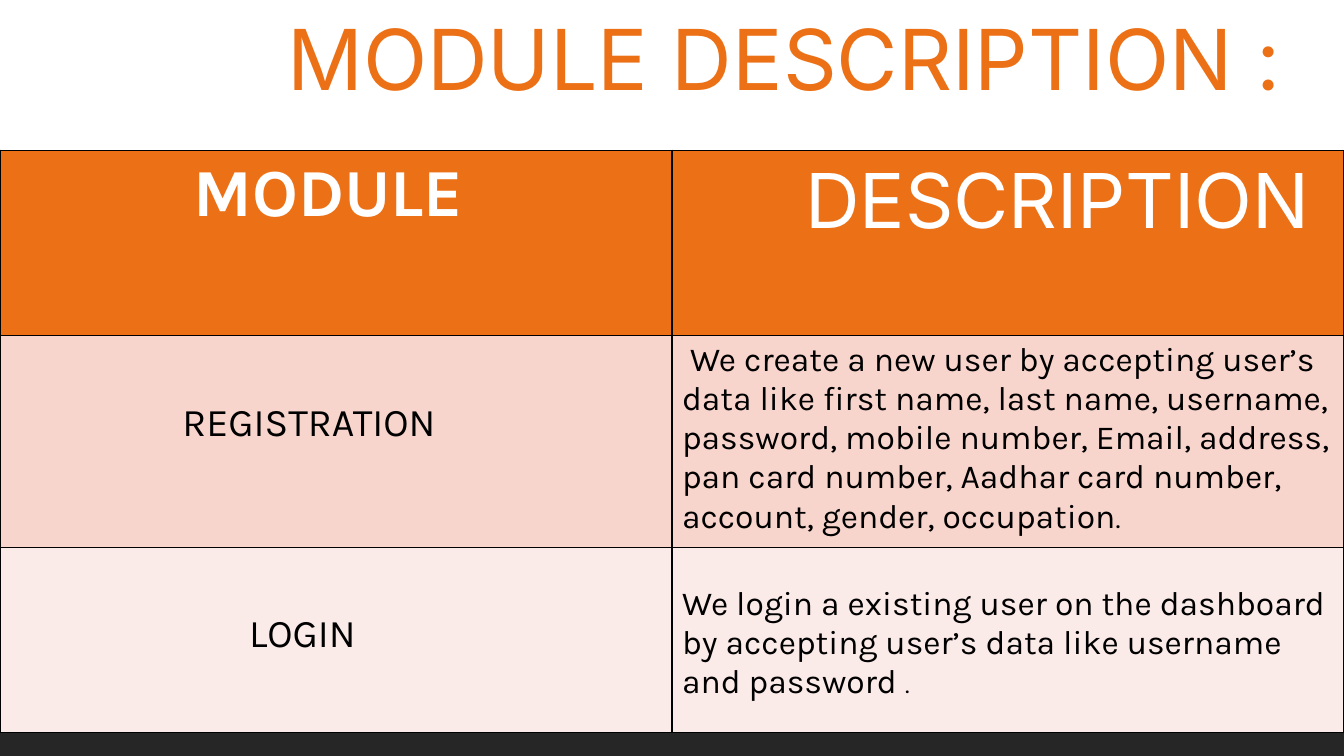
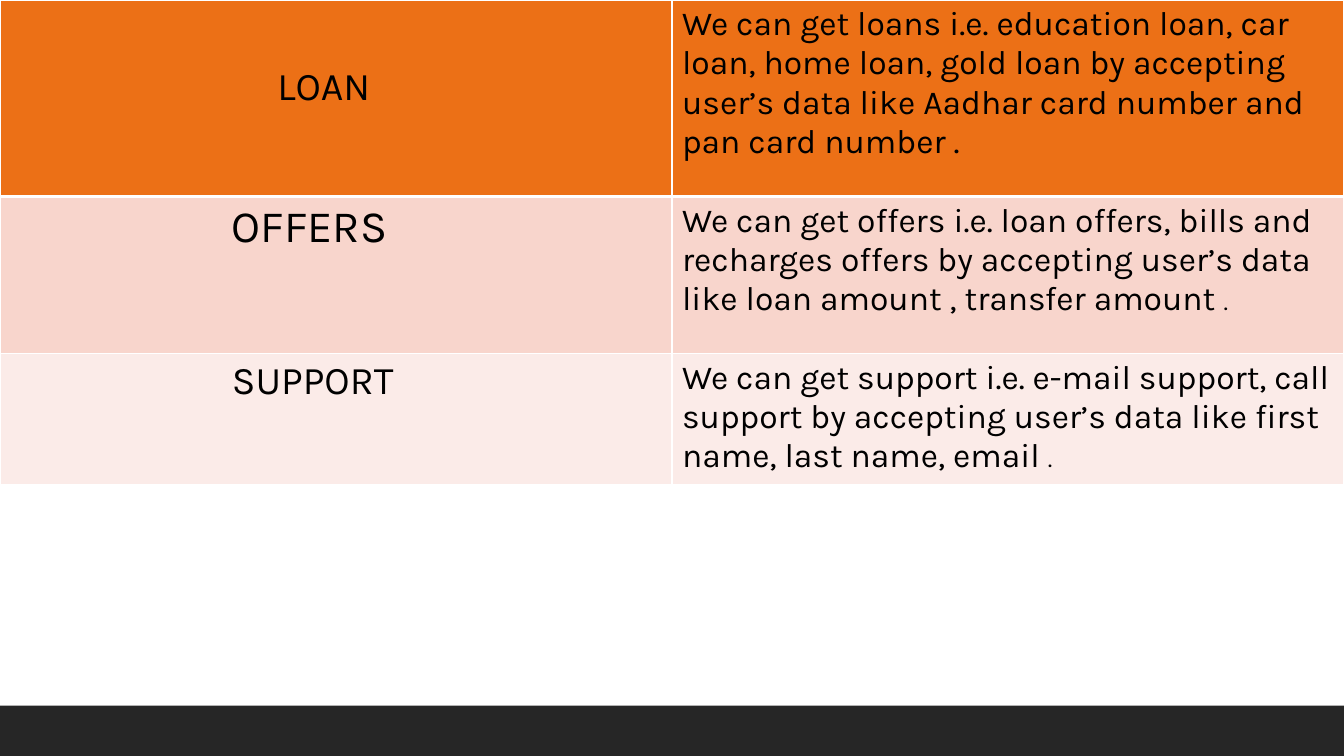
from dataclasses import dataclass
from typing import Any

from lxml.etree import SubElement
from pptx import Presentation
from pptx.dml.color import RGBColor
from pptx.enum.shapes import MSO_SHAPE
from pptx.oxml.ns import qn
from pptx.util import Inches, Pt

WIDE, HIGH = 13.33, 7.5
PAD = 0.1
HEX = {
    "orange": "EC7016",
    "rose": "F8D5CC",
    "blush": "FBEBE8",
    "dark": "262626",
    "black": "000000",
    "white": "FFFFFF",
}
FILLS = ("orange", "rose", "blush")


@dataclass
class Text:
    words: str
    size: int = 24
    left: float = PAD
    top: float = 0.05
    face: str = "Karla"
    ink: str = "black"
    bold: bool = False
    dot: int = 0  # size of a closing full stop, if it differs


@dataclass
class Grid:
    top: float
    rows: list[float]
    cells: list[tuple[Text, Text]]
    line: str
    rule: float  # width of the line below the first row


def tint(name: str) -> RGBColor:
    return RGBColor.from_string(HEX[name])


def assign(item: Any, values: dict[str, Any]) -> None:
    for name, value in values.items():
        setattr(item, name, value)


def write(frame: Any, text: Text) -> None:
    parts = [(text.words, text.size)]
    if text.dot:
        parts.append((".", text.dot))
    for words, size in parts:
        run = frame.paragraphs[0].add_run()
        run.text = words
        assign(run.font, {"name": text.face, "size": Pt(size), "bold": text.bold})
        run.font.color.rgb = tint(text.ink)


def edge(cell: Any, side: str, ink: str, width: float) -> None:
    line = SubElement(cell._tc.get_or_add_tcPr(), qn(f"a:ln{side}"), w=str(Pt(width)))
    fill = SubElement(line, qn("a:solidFill"))
    SubElement(fill, qn("a:srgbClr"), val=HEX[ink])


def band(slide: Any) -> None:
    bar = slide.shapes.add_shape(
        MSO_SHAPE.RECTANGLE, 0, Inches(7), Inches(WIDE), Inches(0.5)
    )
    bar.shadow.inherit = False
    bar.fill.solid()
    bar.fill.fore_color.rgb = tint("dark")
    bar.line.fill.background()


def title(slide: Any, text: Text) -> None:
    box = slide.shapes.add_textbox(
        Inches(text.left), Inches(text.top), Inches(WIDE - text.left), Inches(1.1)
    )
    box.text_frame.word_wrap = True
    write(box.text_frame, text)


def table(slide: Any, grid: Grid) -> None:
    frame = slide.shapes.add_table(
        len(grid.rows), 2, 0, Inches(grid.top), Inches(WIDE), Inches(sum(grid.rows))
    )
    body = frame.table
    assign(body, {"first_row": False, "horz_banding": False})
    for col in body.columns:
        col.width = Inches(WIDE / 2)
    for i, (high, pair) in enumerate(zip(grid.rows, grid.cells)):
        body.rows[i].height = Inches(high)
        widths = {
            "L": 1,
            "R": 1,
            "T": grid.rule if i == 1 else 1,
            "B": grid.rule if i == 0 else 1,
        }
        for j, text in enumerate(pair):
            cell = body.cell(i, j)
            assign(cell, {
                "margin_left": Inches(text.left),
                "margin_right": Inches(PAD),
                "margin_top": Inches(text.top),
                "margin_bottom": Inches(0.05),
            })
            for side, width in widths.items():
                edge(cell, side, grid.line, width)
            cell.fill.solid()
            cell.fill.fore_color.rgb = tint(FILLS[i])
            write(cell.text_frame, text)


HEAD = Text("MODULE DESCRIPTION :", 60, 2.75, 0.02, "Inter", "orange")
LOW = 0.64  # top margin of names set lower in their cell

FIRST = Grid(1.49, [1.84, 2.09, 1.84], [
    (
        Text("MODULE", 48, 1.92, ink="white", bold=True),
        Text("DESCRIPTION", 54, 1.32, face="Inter", ink="white"),
    ),
    (
        Text("REGISTRATION", 28, 1.81, LOW),
        Text(
            " We create a new user by accepting user’s data like first name, "
            "last name, username, password, mobile number, Email, address, "
            "pan card number, Aadhar card number, account, gender, occupation",
            dot=20,
        ),
    ),
    (
        Text("LOGIN", 28, 2.47, LOW),
        Text(
            "We login a existing user on the dashboard by accepting user’s "
            "data like username and password ",
            top=0.37,
            dot=18,
        ),
    ),
], "black", 1)

SECOND = Grid(0, [1.95, 1.56, 1.27], [
    (
        Text("LOAN", 28, 2.75, LOW),
        Text(
            "We can get loans i.e. education loan, car loan, home loan, gold "
            "loan by accepting user’s data like Aadhar card number and pan "
            "card number ."
        ),
    ),
    (
        Text("OFFERS", 32, 2.3),
        Text(
            "We can get offers i.e. loan offers, bills and recharges offers by "
            "accepting user’s data like loan amount , transfer amount ",
            dot=18,
        ),
    ),
    (
        Text("SUPPORT", 28, 2.3),
        Text(
            "We can get support i.e. e-mail support, call support by accepting "
            "user’s data like first name, last name, email ",
            dot=18,
        ),
    ),
], "white", 3)


def main() -> None:
    deck = Presentation()
    assign(deck, {"slide_width": Inches(WIDE), "slide_height": Inches(HIGH)})
    for head, grid in ((HEAD, FIRST), (None, SECOND)):
        slide = deck.slides.add_slide(deck.slide_layouts[6])
        band(slide)
        if head:
            title(slide, head)
        table(slide, grid)
    deck.save("out.pptx")


if __name__ == "__main__":
    main()
